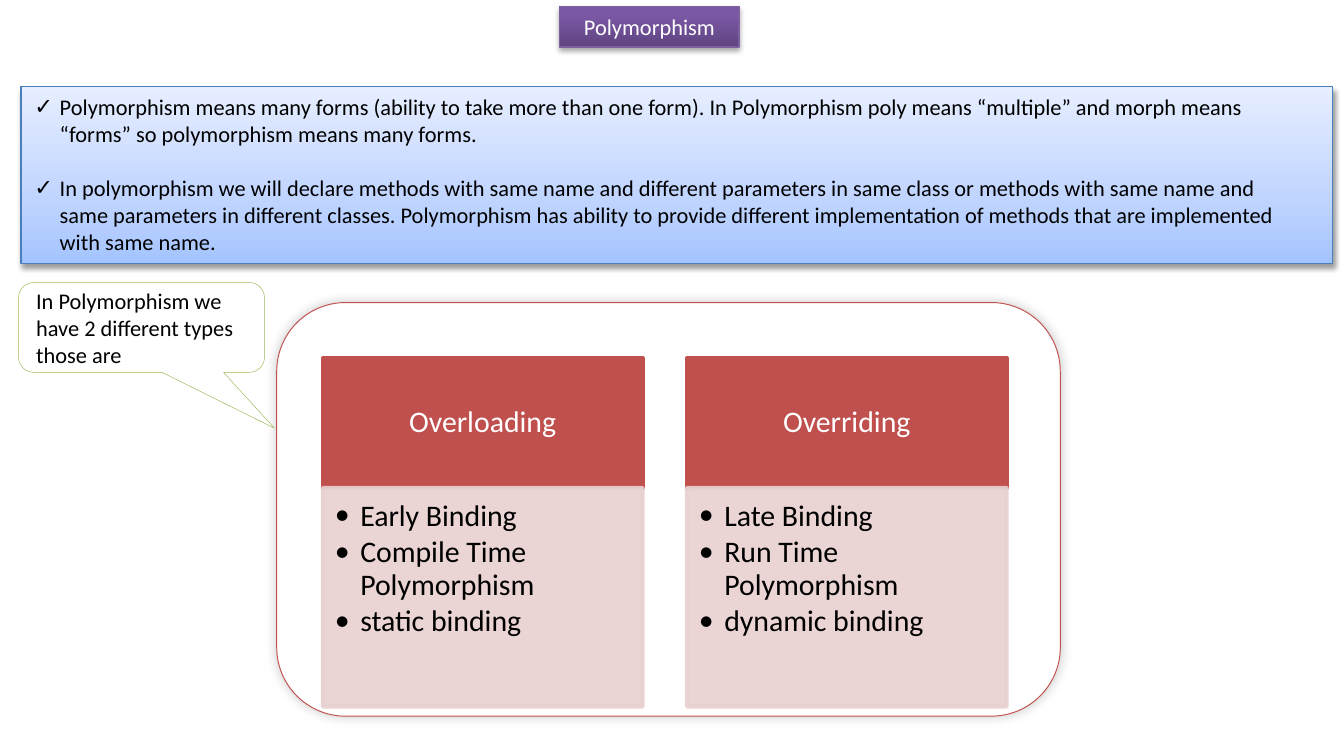
from lxml import etree
from pptx import Presentation
from pptx.dml.color import RGBColor
from pptx.enum import shapes, text
from pptx.oxml.ns import qn
from pptx.util import Cm, Pt

TITLE = "Polymorphism"
DEFINITION = [
    "Polymorphism means many forms (ability to take more than one form). In Polymorphism "
    "poly means “multiple” and morph means “forms” so polymorphism means many forms.",
    "In polymorphism we will declare methods with same name and different parameters in same "
    "class or methods with same name and\vsame parameters in different classes. Polymorphism "
    "has ability to provide different implementation of methods that are implemented\v"
    "with same name.",
]
CALLOUT = "In Polymorphism we have 2 different types those are"
TYPES = [
    ("Overloading", ["Early Binding", "Compile Time Polymorphism", "static binding"]),
    ("Overriding", ["Late Binding", "Run Time Polymorphism", "dynamic binding"]),
]

COLORS = {
    "white": "FFFFFF", "black": "000000", "red": "C0504D", "pink": "E8D0D0",
    "purple": "7D60A0", "blue": "4B7EBC", "green": "9BBB59",
}
PURPLE_STOPS = [(0, "5F4480"), (80, "7B58A6"), (100, "7C57A8")]
BLUE_STOPS = [(0, "A4C4FF"), (35, "BFD4FF"), (100, "E6EEFF")]
FONT = "Calibri"
HANGING = Cm(0.48)

CARD_LEFT, CARD_TOP, CARD_WIDTH, CARD_PITCH = 6.1, 6.77, 6.05, 6.88
HEAD_HEIGHT, BODY_HEIGHT = 2.45, 4.14


def color(name):
    return RGBColor.from_string(COLORS[name])


def sub(parent, tag, **attributes):
    return etree.SubElement(parent, qn(tag), {k: str(v) for k, v in attributes.items()})


def add_alpha(properties, percent):
    for tint in properties.iter(qn("a:srgbClr")):
        sub(tint, "a:alpha", val=percent * 1000)


def fill_gradient(shape, stops):
    """Fill from bottom to top with (percent, hex) stops."""
    shape.fill.gradient()
    shape.fill.gradient_angle = 90
    stop_list = shape._element.spPr.find(".//" + qn("a:gsLst"))
    for old in list(stop_list):
        stop_list.remove(old)
    for percent, tint in stops:
        sub(sub(stop_list, "a:gs", pos=percent * 1000), "a:srgbClr", val=tint)


def add_box(slide, kind, area, line, width, fill="white", stops=None, alpha=None, shadow=None):
    """shadow is (opacity %, blur pt, distance pt, angle)."""
    shape = slide.shapes.add_shape(kind, *map(Cm, area))
    shape.shadow.inherit = False
    if stops:
        fill_gradient(shape, stops)
    else:
        shape.fill.solid()
        shape.fill.fore_color.rgb = color(fill)
    shape.line.color.rgb = color(line)
    shape.line.width = Pt(width)
    properties = shape._element.spPr
    if alpha:
        add_alpha(properties, alpha)
    if shadow:
        opacity, blur, distance, angle = shadow
        outer = sub(properties.find(qn("a:effectLst")), "a:outerShdw", blurRad=int(Pt(blur)),
                    dist=int(Pt(distance)), dir=angle * 60000, rotWithShape=0)
        sub(outer, "a:srgbClr", val=COLORS["black"])
        add_alpha(outer, opacity)
    return shape


def write(shape, paragraphs, size=12, ink="black", align="LEFT", anchor="TOP", bullet=None,
          gap=0, spacing=1.0, insets=(0.25, 0.13, 0.25, 0.13)):
    frame = shape.text_frame
    frame.word_wrap = True
    frame.vertical_anchor = getattr(text.MSO_ANCHOR, anchor)
    frame.margin_left, frame.margin_top, frame.margin_right, frame.margin_bottom = map(Cm, insets)
    for index, words in enumerate(paragraphs):
        paragraph = frame.add_paragraph() if index else frame.paragraphs[0]
        paragraph.text = words
        paragraph.alignment = getattr(text.PP_ALIGN, align)
        paragraph.line_spacing = spacing
        if index:
            paragraph.space_before = Pt(gap)
        if bullet:
            settings = paragraph._p.get_or_add_pPr()
            settings.set("marL", str(HANGING))
            settings.set("indent", str(-HANGING))
            sub(settings, "a:buFont", typeface=FONT)
            sub(settings, "a:buChar", char=bullet)
        paragraph.font.size = Pt(size)
        paragraph.font.name = FONT
        paragraph.font.color.rgb = color(ink)


def add_type(slide, index, heading, traits):
    left = CARD_LEFT + index * CARD_PITCH
    head = add_box(slide, shapes.MSO_SHAPE.RECTANGLE, (left, CARD_TOP, CARD_WIDTH, HEAD_HEIGHT),
                   "red", 2, fill="red")
    write(head, [heading], size=16, ink="white", align="CENTER", anchor="MIDDLE", spacing=0.9,
          insets=(0.3, 0.18, 0.3, 0.18))
    body = add_box(slide, shapes.MSO_SHAPE.RECTANGLE,
                   (left, CARD_TOP + HEAD_HEIGHT, CARD_WIDTH, BODY_HEIGHT),
                   "pink", 2, fill="pink", alpha=90)
    write(body, traits, size=16, bullet="•", gap=2.4, spacing=0.9, insets=(0.23, 0.24, 0.3, 0.36))


def main():
    deck = Presentation()
    deck.slide_width, deck.slide_height = Cm(25.4), Cm(13.97)
    slide = deck.slides.add_slide(deck.slide_layouts[6])
    kinds = shapes.MSO_SHAPE

    add_box(slide, kinds.ROUNDED_RECTANGLE, (5.23, 5.72, 14.81, 7.82), "red", 0.5,
            shadow=(20, 6, 0, 225))
    title = add_box(slide, kinds.RECTANGLE, (10.58, 0.12, 3.39, 0.77), "purple", 0.75,
                    stops=PURPLE_STOPS, shadow=(35, 3.1, 1.8, 90))
    write(title, [TITLE], ink="white", align="CENTER")
    definition = add_box(slide, kinds.RECTANGLE, (0.4, 1.64, 24.79, 3.34), "blue", 0.75,
                         stops=BLUE_STOPS, shadow=(38, 3.1, 1.6, 90))
    write(definition, DEFINITION, bullet="✓", gap=14.5)

    for index, (heading, traits) in enumerate(TYPES):
        add_type(slide, index, heading, traits)

    callout = add_box(slide, kinds.ROUNDED_RECTANGULAR_CALLOUT, (0.35, 5.34, 4.65, 1.7),
                      "green", 0.25)
    for index, value in enumerate((0.54, 1.12, 0.17)):
        callout.adjustments[index] = value
    write(callout, [CALLOUT], anchor="MIDDLE")
    deck.save("out.pptx")


if __name__ == "__main__":
    main()
